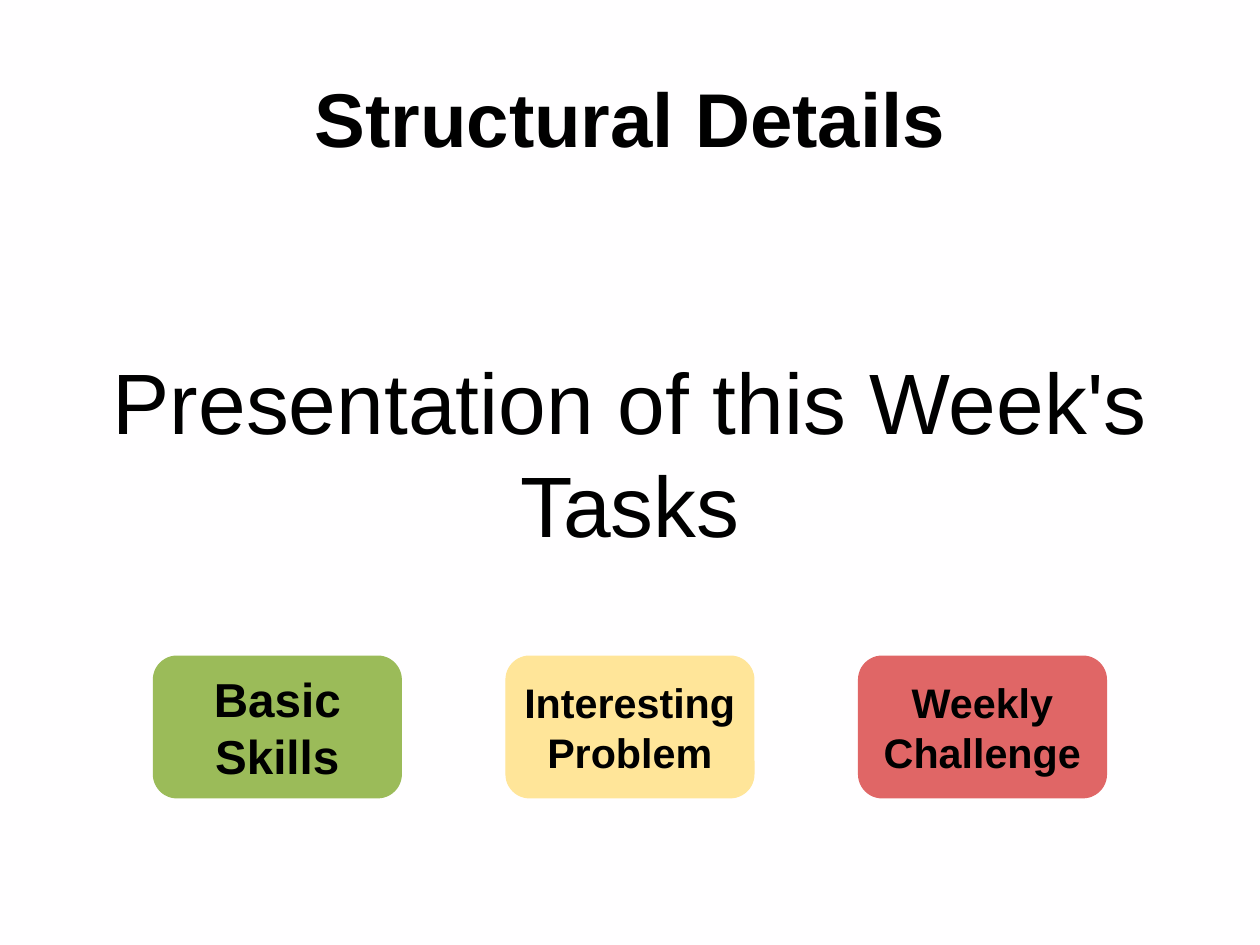
from pptx import Presentation
from pptx.dml.color import RGBColor
from pptx.enum.shapes import MSO_SHAPE as Shape
from pptx.enum.text import MSO_ANCHOR as Anchor, MSO_AUTO_SIZE as AutoSize, PP_ALIGN as Align
from pptx.util import Pt

BLACK = RGBColor(0x00, 0x00, 0x00)
PAPER = RGBColor(0xFF, 0xFE, 0xFF)
GREEN = RGBColor(0x9B, 0xBB, 0x59)
YELLOW = RGBColor(0xFF, 0xE5, 0x99)
RED = RGBColor(0xE0, 0x66, 0x66)

# Content
HEADING = "Structural Details"
TOPIC = "Presentation of this Week's Tasks"
TASKS = [
    ("Basic Skills", GREEN, 30),
    ("Interesting Problem", YELLOW, 26),
    ("Weekly Challenge", RED, 26),
]

# Layout in points
SLIDE_W, SLIDE_H = 793.75, 595.25
MARGIN = 39.6
TEXT_W = SLIDE_W - 2 * MARGIN
TASK_W, TASK_H, TASK_TOP = 156.2, 89.3, 413.3
TASK_STEP = 222.1
TASK_LEFT = (SLIDE_W - TASK_W) / 2 - TASK_STEP


def write(shape, text, size, bold=False, inset=7.2):
    frame = shape.text_frame
    frame.text = text
    frame.word_wrap = True
    frame.auto_size = AutoSize.NONE
    frame.vertical_anchor = Anchor.MIDDLE
    frame.margin_left = frame.margin_right = Pt(inset)
    frame.margin_top = frame.margin_bottom = Pt(inset)
    line = frame.paragraphs[0]
    line.alignment = Align.CENTER
    line.space_before = line.space_after = Pt(0)
    font = line.runs[0].font
    font.name, font.size, font.bold = "Arial", Pt(size), bold
    font.color.rgb = BLACK


def place(shape, left, top, width, height):
    shape.left, shape.top = Pt(left), Pt(top)
    shape.width, shape.height = Pt(width), Pt(height)


deck = Presentation()
deck.slide_width, deck.slide_height = Pt(SLIDE_W), Pt(SLIDE_H)
slide = deck.slides.add_slide(deck.slide_layouts[0])
slide.background.fill.solid()
slide.background.fill.fore_color.rgb = PAPER

# Heading and topic
heading, topic = slide.placeholders
place(heading, MARGIN, 23.8, TEXT_W, 99.4)
write(heading, HEADING, 48, bold=True, inset=0)
place(topic, MARGIN, 164.2, TEXT_W, 241.2)
write(topic, TOPIC, 54, inset=0)

# Row of task boxes
for index, (task, color, size) in enumerate(TASKS):
    box = slide.shapes.add_shape(
        Shape.ROUNDED_RECTANGLE,
        Pt(TASK_LEFT + index * TASK_STEP), Pt(TASK_TOP), Pt(TASK_W), Pt(TASK_H))
    box.shadow.inherit = False
    box.fill.solid()
    box.fill.fore_color.rgb = color
    box.line.color.rgb = color
    box.line.width = Pt(0.75)
    write(box, task, size, bold=True)

deck.save("out.pptx")
